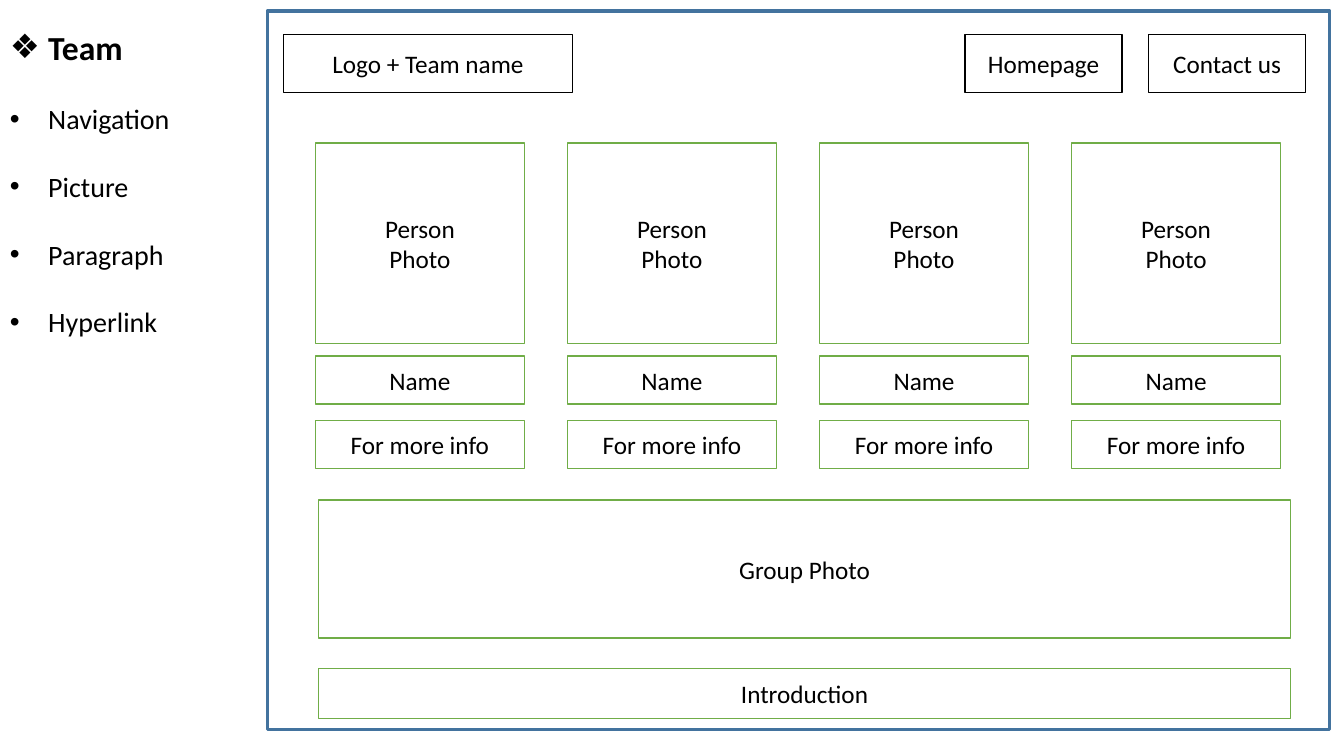
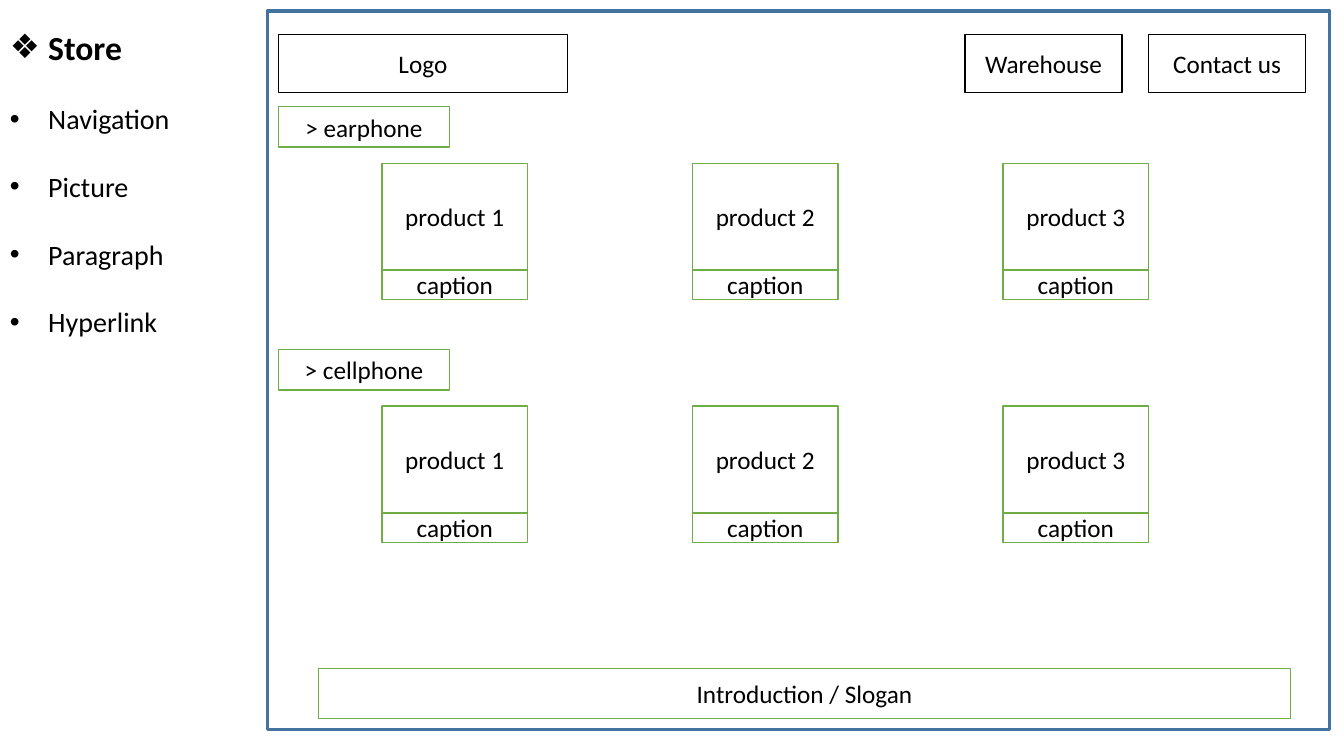
"""Build two website wireframe slides: a team page and a store page."""
from lxml import etree
from pptx import Presentation
from pptx.dml.color import RGBColor
from pptx.enum import shapes, text
from pptx.oxml import ns
from pptx.util import Inches, Pt

FONT = "Calibri"
BLACK, WHITE, BLUE, GREEN = "000000", "FFFFFF", "43739E", "70AD47"

SIDEBAR_ITEMS = ["Navigation", "Picture", "Paragraph", "Hyperlink"]
TEAM = {"title": "Team", "logo": "Logo + Team name", "logo_left": 2.81,
        "buttons": ["Homepage", "Contact us"], "footer": "Introduction"}
STORE = {"title": "Store", "logo": "Logo", "logo_left": 2.76,
         "buttons": ["Warehouse", "Contact us"], "footer": "Introduction / Slogan"}

MEMBER_COUNT = 4
MEMBER_ROWS = [("Person\nPhoto", 1.42, 1.99), ("Name", 3.53, 0.48), ("For more info", 4.17, 0.48)]
CATEGORIES = ["> earphone", "> cellphone"]
PRODUCTS = ["product 1", "product 2", "product 3"]


def color(value):
    return RGBColor.from_string(value)


def style_runs(paragraph, size, bold=False):
    for run in paragraph.runs:
        run.font.name = FONT
        run.font.size = Pt(size)
        run.font.bold = bold
        run.font.color.rgb = color(BLACK)


def add_box(slide, label, left, top, width, height, line=GREEN, line_width=1, fill=WHITE):
    shape = slide.shapes.add_shape(shapes.MSO_SHAPE.RECTANGLE, Inches(left), Inches(top),
                                   Inches(width), Inches(height))
    shape.shadow.inherit = False
    if fill:
        shape.fill.solid()
        shape.fill.fore_color.rgb = color(fill)
    else:
        shape.fill.background()
    shape.line.color.rgb = color(line)
    shape.line.width = Pt(line_width)
    shape.text_frame.text = label
    shape.text_frame.vertical_anchor = text.MSO_ANCHOR.MIDDLE
    for paragraph in shape.text_frame.paragraphs:
        paragraph.alignment = text.PP_ALIGN.CENTER
        style_runs(paragraph, 18)


def add_bullet(paragraph, character):
    properties = paragraph._p.get_or_add_pPr()
    properties.set("marL", str(Inches(0.38)))
    properties.set("indent", str(-Inches(0.38)))
    etree.SubElement(properties, ns.qn("a:buFont")).set("typeface", "Arial")
    etree.SubElement(properties, ns.qn("a:buChar")).set("char", character)


def add_sidebar(slide, title):
    shape = slide.shapes.add_textbox(Inches(0), Inches(0.22), Inches(2.49), Inches(3.87))
    frame = shape.text_frame
    frame.word_wrap = True
    frame.auto_size = text.MSO_AUTO_SIZE.SHAPE_TO_FIT_TEXT
    frame.text = "\n".join([title] + SIDEBAR_ITEMS)
    heading, *items = frame.paragraphs
    style_runs(heading, 24, bold=True)
    add_bullet(heading, "❖")
    for paragraph in items:
        paragraph.space_before = Pt(24.4)
        style_runs(paragraph, 20)
        add_bullet(paragraph, "•")


def add_page(presentation, page):
    slide = presentation.slides.add_slide(presentation.slide_layouts[6])
    add_box(slide, "", 2.65, 0.11, 10.54, 7.13, BLUE, 2.25, fill=None)
    add_sidebar(slide, page["title"])
    add_box(slide, page["logo"], page["logo_left"], 0.34, 2.87, 0.58, BLACK)
    for index, label in enumerate(page["buttons"]):
        add_box(slide, label, 9.57 + index * 1.82, 0.34, 1.56, 0.58, BLACK)
    add_box(slide, page["footer"], 3.16, 6.63, 9.64, 0.5)
    return slide


def add_team(presentation):
    slide = add_page(presentation, TEAM)
    for member in range(MEMBER_COUNT):
        for label, top, height in MEMBER_ROWS:
            add_box(slide, label, 3.13 + member * 2.5, top, 2.07, height)
    add_box(slide, "Group Photo", 3.16, 4.96, 9.64, 1.37)


def add_store(presentation):
    slide = add_page(presentation, STORE)
    for row, category in enumerate(CATEGORIES):
        top = 1.06 + row * 2.41
        add_box(slide, category, 2.76, top, 1.7, 0.4)
        for column, product in enumerate(PRODUCTS):
            left = 3.79 + column * 3.08
            add_box(slide, product, left, top + 0.56, 1.44, 1.06)
            add_box(slide, "caption", left, top + 1.62, 1.44, 0.29)


def main():
    presentation = Presentation()
    presentation.slide_width = Inches(13.33)
    presentation.slide_height = Inches(7.5)
    add_team(presentation)
    add_store(presentation)
    presentation.save("out.pptx")


if __name__ == "__main__":
    main()
